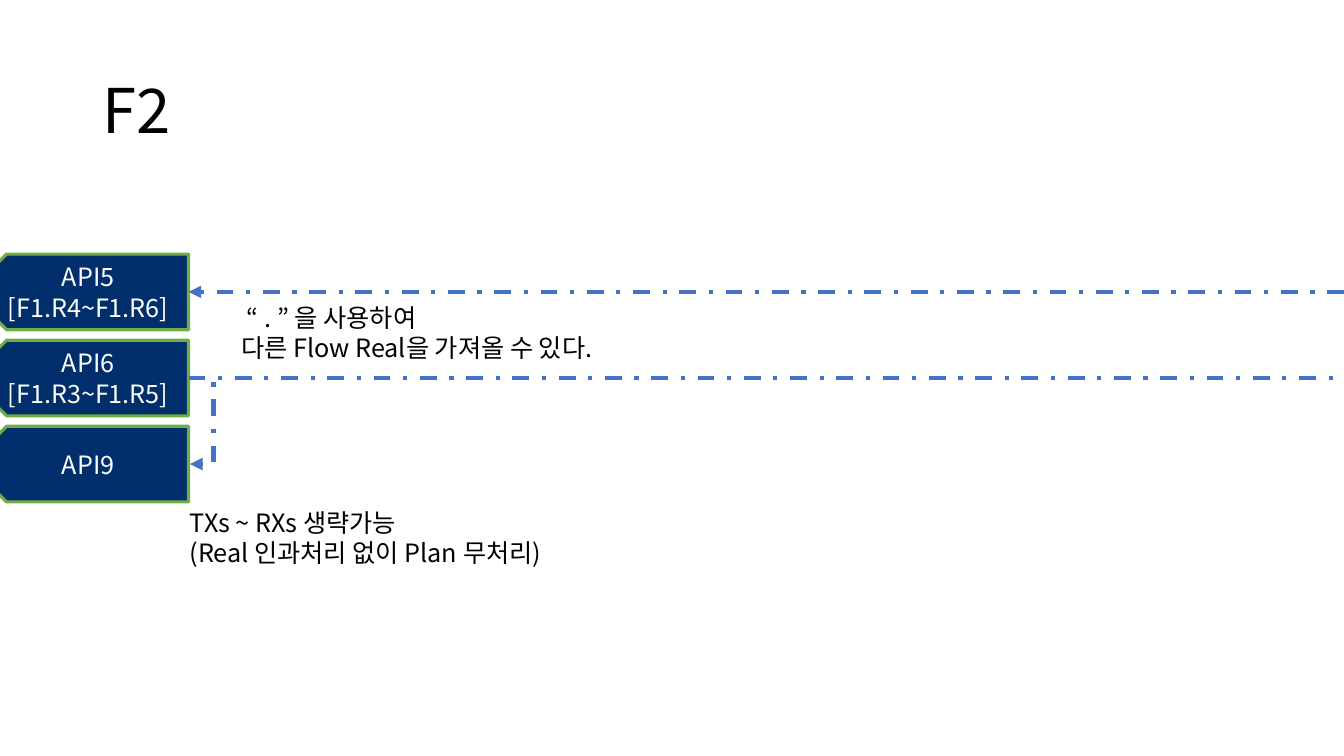
from pptx import Presentation
from pptx.dml.color import RGBColor
from pptx.enum.dml import MSO_LINE
from pptx.enum.shapes import MSO_CONNECTOR, MSO_SHAPE
from pptx.enum.text import MSO_ANCHOR, PP_ALIGN
from pptx.oxml.ns import qn
from pptx.util import Pt
from lxml.etree import SubElement

COLORS = {"navy": "012F6B", "green": "70AD47", "blue": "4472C4",
          "black": "000000", "white": "FFFFFF"}
FONT = "Noto Sans CJK KR"
PAGE_WIDTH, PAGE_HEIGHT = 960, 540


def color(name):
    return RGBColor.from_string(COLORS[name])


def write_text(frame, text, size=18, fill="black", align=PP_ALIGN.LEFT,
               anchor=MSO_ANCHOR.TOP, wrap=True, spacing=1.0):
    frame.word_wrap = wrap
    frame.vertical_anchor = anchor
    for index, line in enumerate(text.split("\n")):
        para = frame.paragraphs[0] if index == 0 else frame.add_paragraph()
        para.alignment = align
        para.line_spacing = spacing
        span = para.add_run()
        span.text = line
        span.font.size = Pt(size)
        span.font.name = FONT
        span.font.color.rgb = color(fill)
        SubElement(span.font._element, qn("a:ea"), typeface=FONT)


class ApiPage:
    def __init__(self, deck):
        self.page = deck.slides.add_slide(deck.slide_layouts[6])

    def label(self, text, left, top, width, height, **style):
        box = self.page.shapes.add_textbox(Pt(left), Pt(top), Pt(width), Pt(height))
        write_text(box.text_frame, text, **style)

    def tag(self, text, left, top, width, height):
        box = self.page.shapes.add_shape(
            MSO_SHAPE.PENTAGON, Pt(left), Pt(top), Pt(width), Pt(height))
        box.shadow.inherit = False
        box.fill.solid()
        box.fill.fore_color.rgb = color("navy")
        box.line.color.rgb = color("green")
        box.line.width = Pt(2.25)
        box._element.spPr.find(qn("a:xfrm")).set("flipH", "1")
        write_text(box.text_frame, text, fill="white", align=PP_ALIGN.CENTER,
                   anchor=MSO_ANCHOR.MIDDLE, wrap=False)

    def link(self, start, end, arrow=True, bend=None):
        kind = MSO_CONNECTOR.STRAIGHT if bend is None else MSO_CONNECTOR.ELBOW
        line = self.page.shapes.add_connector(
            kind, Pt(start[0]), Pt(start[1]), Pt(end[0]), Pt(end[1]))
        line.line.color.rgb = color("blue")
        line.line.width = Pt(3)
        line.line.dash_style = MSO_LINE.DASH_DOT
        properties = line._element.spPr
        if arrow:
            SubElement(properties.find(qn("a:ln")), qn("a:tailEnd"), type="triangle")
        SubElement(properties, qn("a:effectLst"))
        if bend is not None:
            ratio = round(bend / (end[0] - start[0]) * 100000)
            guides = properties.find(qn("a:prstGeom")).find(qn("a:avLst"))
            SubElement(guides, qn("a:gd"), name="adj1", fmla=f"val {ratio}")


def main():
    deck = Presentation()
    deck.slide_width, deck.slide_height = Pt(PAGE_WIDTH), Pt(PAGE_HEIGHT)
    page = ApiPage(deck)
    page.label("F2", 66, 28.75, 828, 104.4, size=44,
               anchor=MSO_ANCHOR.MIDDLE, spacing=0.9)

    left, top, width, height, pitch = -22.3, 181.5, 157, 54, 61.5
    tags = ["API5\n[F1.R4~F1.R6]", "API6\n[F1.R3~F1.R5]", "API9"]
    for row, text in enumerate(tags):
        page.tag(text, left, top + row * pitch, width, height)

    edge = left + width
    api5, api6, api9 = (top + height / 2 + row * pitch for row in range(len(tags)))
    page.link((PAGE_WIDTH, api5), (edge, api5))
    page.link((edge, api6), (PAGE_WIDTH, api6), arrow=False)
    page.link((edge, api6), (edge + 1, api9), bend=18)

    page.label(" “ . ” 을 사용하여\n다른 Flow Real을 가져올 수 있다.",
               165.3, 212.5, 350, 51)
    page.label("TXs ~ RXs 생략가능\n(Real 인과처리 없이 Plan 무처리)",
               128.3, 358.5, 350, 51)
    deck.save("out.pptx")


if __name__ == "__main__":
    main()
